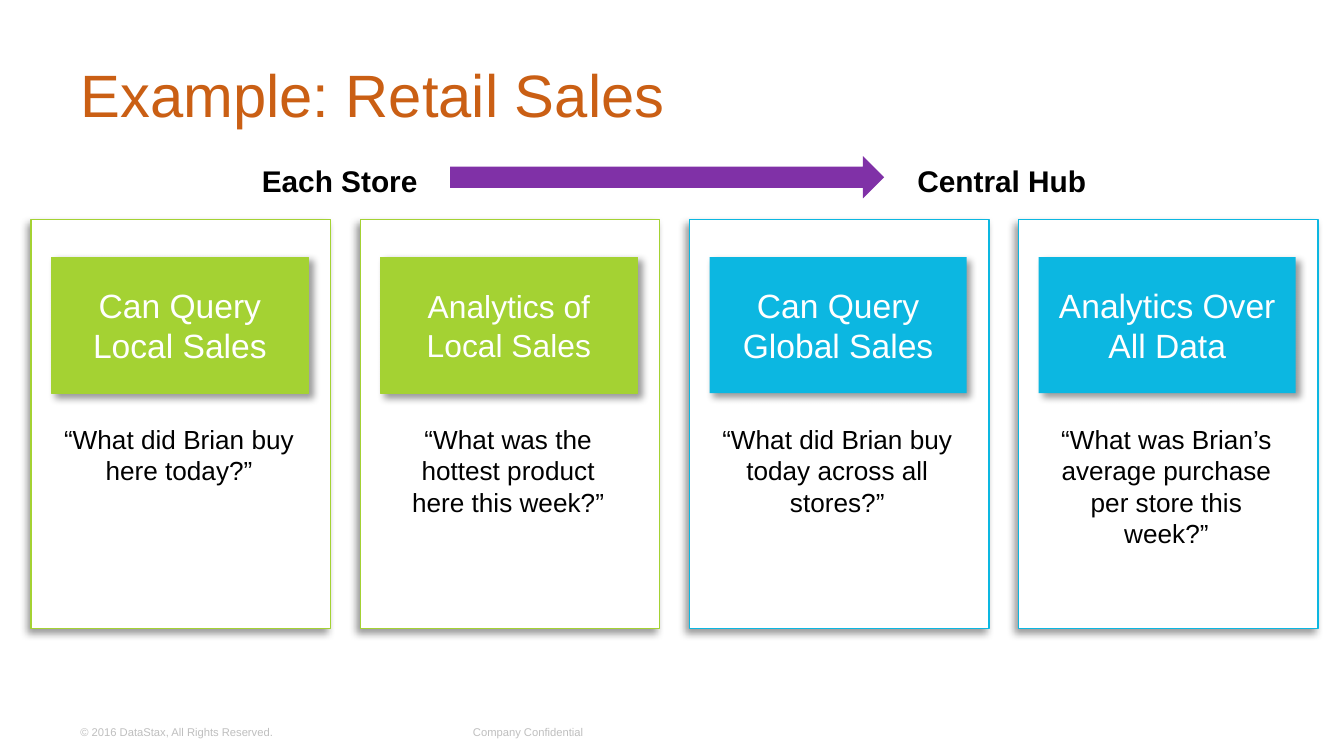
from lxml import etree
from pptx import Presentation
from pptx import util as u
from pptx.dml.color import RGBColor
from pptx.enum import shapes, text
from pptx.oxml.ns import qn

Cm = u.Cm
HUES = {"green": "A4D233", "blue": "0CB7E1", "purple": "8031A7", "orange": "CA5F14",
        "grey": "BFBFBF", "white": "FFFFFF", "black": "000000"}
CARDS = [
    ("green", "Can Query Local Sales", 18, "“What did Brian buy here today?”"),
    ("green", "Analytics of Local Sales", 17, "“What was the hottest product here this week?”"),
    ("blue", "Can Query Global Sales", 18, "“What did Brian buy today across all stores?”"),
    ("blue", "Analytics Over All Data", 18,
     "“What was Brian’s average purchase per store this week?”"),
]
LABELS = [
    # words, left, top, width, height, size, hue, bold, anchor
    ("Example: Retail Sales", 1.27, 0.58, 22.86, 2.39, 32, "orange", False, "MIDDLE"),
    ("Each Store", 4.7, 2.95, 3.61, 0.94, 16, "black", True, "TOP"),
    ("Central Hub", 17.09, 2.95, 3.81, 0.94, 16, "black", True, "TOP"),
    ("© 2016 DataStax, All Rights Reserved.", 1.27, 13.44, 4.42, 0.76, 6, "grey", False, "MIDDLE"),
    ("Company Confidential", 8.69, 13.44, 8.05, 0.76, 6, "grey", False, "MIDDLE"),
]


def write(box, words, size, hue, anchor="TOP", align="CENTER", bold=False):
    """Fill a shape or text box with one styled paragraph."""
    frame = box.text_frame
    frame.word_wrap = True
    frame.vertical_anchor = text.MSO_ANCHOR[anchor]
    frame.text = words
    para = frame.paragraphs[0]
    para.alignment = text.PP_ALIGN[align]
    font = para.runs[0].font
    font.name, font.size, font.bold = "Arial", u.Pt(size), bold
    font.color.rgb = RGBColor.from_string(HUES[hue])


def paint(shape, fill, line=None, angle=None):
    """Set fill, outline and, if an angle is given, a soft shadow."""
    shape.fill.solid()
    shape.fill.fore_color.rgb = RGBColor.from_string(HUES[fill])
    if line:
        shape.line.color.rgb = RGBColor.from_string(HUES[line])
        shape.line.width = u.Pt(0.75)
    else:
        shape.line.fill.background()
    shape.shadow.inherit = False
    if angle:
        effects = shape.element.spPr.find(qn("a:effectLst"))
        shade = etree.SubElement(effects, qn("a:outerShdw"), blurRad=str(u.Pt(4)),
                                 dist=str(u.Pt(3)), dir=str(angle * 60000),
                                 algn="ctr", rotWithShape="0")
        tone = etree.SubElement(shade, qn("a:srgbClr"), val=HUES["black"])
        etree.SubElement(tone, qn("a:alpha"), val="40000")


deck = Presentation()
deck.slide_width, deck.slide_height = Cm(25.4), Cm(14.28)
slide = deck.slides.add_slide(deck.slide_layouts[6])
RECT = shapes.MSO_SHAPE.RECTANGLE

for words, left, top, width, height, size, hue, bold, anchor in LABELS:
    label = slide.shapes.add_textbox(Cm(left), Cm(top), Cm(width), Cm(height))
    write(label, words, size, hue, anchor, "LEFT", bold)

arrow = slide.shapes.add_shape(shapes.MSO_SHAPE.RIGHT_ARROW,
                               Cm(8.51), Cm(2.95), Cm(8.2), Cm(0.8))
paint(arrow, "purple")

for i, (hue, head, size, quote) in enumerate(CARDS):
    left = 0.59 + 6.22 * i
    group = slide.shapes.add_group_shape().shapes
    card = group.add_shape(RECT, Cm(left), Cm(4.15), Cm(5.66), Cm(7.72))
    paint(card, "white", hue, 135)
    note = group.add_textbox(Cm(left + 0.37), Cm(7.87), Cm(4.85), Cm(2.06))
    write(note, quote, 14, "black")
    tile = group.add_shape(RECT, Cm(left + 0.38), Cm(4.86), Cm(4.86), Cm(2.57))
    paint(tile, hue, hue if hue == "green" else None, 45)
    write(tile, head, size, "white", "MIDDLE")

deck.save("out.pptx")
